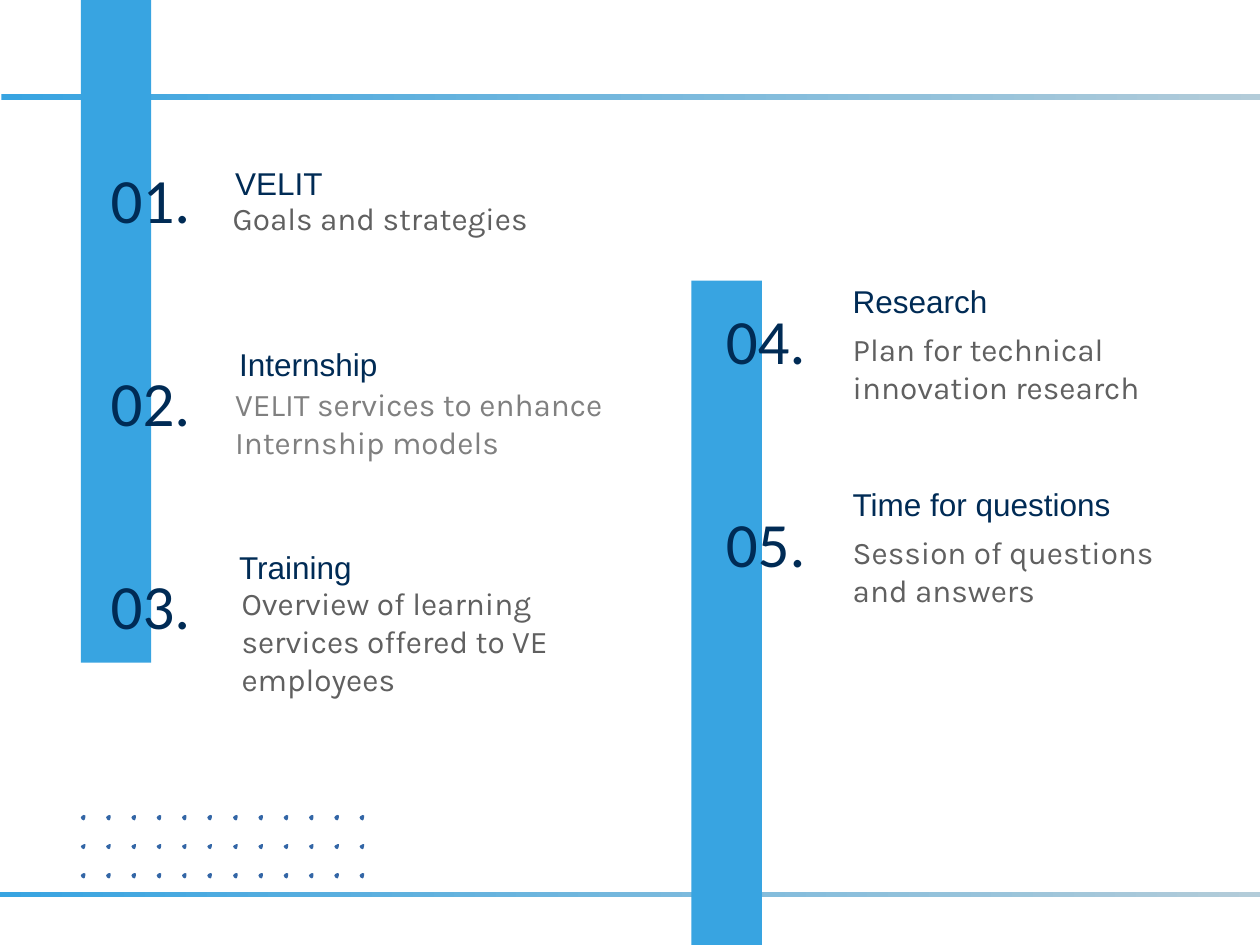
from pptx import Presentation
from pptx.dml.color import RGBColor
from pptx.enum.shapes import MSO_SHAPE
from pptx.enum.text import MSO_ANCHOR, PP_ALIGN
from pptx.util import Cm, Pt

RECT = MSO_SHAPE.RECTANGLE
MIDDLE, BOTTOM = MSO_ANCHOR.MIDDLE, MSO_ANCHOR.BOTTOM
LEFT, RIGHT = PP_ALIGN.LEFT, PP_ALIGN.RIGHT
BLUE, PALE, NAVY, DOT = "38A4E1", "B3CCD9", "002B55", "3366A6"
DARK, GREY = "606060", "808080"
PITCH = 4.09
DROP = [(9, 5), (9, 1), (6, 0), (2, 2), (0, 5), (2, 9), (6, 11), (8, 9)]

FIRST = [
    ("01.", "VELIT", (4.06, -0.2),
     "Goals and strategies", (4.01, 0.86, 6.86, 1.07), DARK),
    ("02.", "Internship", (4.14, -0.64),
     "VELIT services to enhance Internship models",
     (4.06, 0.84, 8.2, 1.19), GREY),
    ("03.", "Training", (4.14, -0.64),
     "Overview of learning services offered to VE employees",
     (4.19, 0.74, 7.54, 2.01), DARK),
]
SECOND = [
    ("04.", "Research", (4.11, -0.66),
     "Plan for technical innovation research",
     (4.11, 0.58, 6.86, 2.01), DARK),
    ("05.", "Time for questions", (4.11, -0.66),
     "Session of questions and answers",
     (4.11, 0.58, 6.86, 2.01), DARK),
]


def paint(code):
    """Turn a hex string into a colour."""
    return RGBColor.from_string(code)


def block(slide, box):
    """Add a plain rectangle without line or shadow."""
    shape = slide.shapes.add_shape(RECT, *map(Cm, box))
    shape.shadow.inherit = False
    shape.line.fill.background()
    return shape


def rule(slide, box):
    """Add a thin band that fades from left to right."""
    fill = block(slide, box).fill
    fill.gradient()
    fill.gradient_angle = 0
    for stop, code in zip(fill.gradient_stops, (BLUE, PALE)):
        stop.color.rgb = paint(code)


def label(slide, box, text, face, size, code, anchor=MIDDLE, align=LEFT):
    """Add a text box holding one run."""
    frame = slide.shapes.add_textbox(*map(Cm, box)).text_frame
    frame.word_wrap = True
    frame.vertical_anchor = anchor
    frame.margin_left = frame.margin_right = Cm(0.25)
    frame.margin_top = frame.margin_bottom = Cm(0.25)
    para = frame.paragraphs[0]
    para.alignment = align
    run = para.add_run()
    run.text = text
    run.font.name = face
    run.font.size = Pt(size)
    run.font.color.rgb = paint(code)


def column(slide, box, shift, items):
    """Add a blue bar and its numbered topics at an even pitch."""
    fill = block(slide, box).fill
    fill.solid()
    fill.fore_color.rgb = paint(BLUE)
    left, top = box[0] + shift[0], box[1] + shift[1]
    for row, (mark, head, spot, body, area, code) in enumerate(items):
        y = top + row * PITCH
        label(slide, (left, y, 3.66, 2.01), mark, "Calibri", 36, NAVY,
              align=RIGHT)
        label(slide, (left + spot[0], y + spot[1], 7.8, 1.52), head,
              "Arial", 18, NAVY, BOTTOM)
        label(slide, (left + area[0], y + area[1], *area[2:]), body,
              "Karla", 18, code)


def dots(slide, box, cols, rows):
    """Fill a box with a grouped grid of small drops."""
    left, top, width, height = box
    group = slide.shapes.add_group_shape()
    for spot in range(cols * rows):
        row, col = divmod(spot, cols)
        x = 100 * (left + col * width / (cols - 1))
        y = 100 * (top + row * height / (rows - 1))
        ring = [(x + dx, y + dy) for dx, dy in DROP]
        pen = group.shapes.build_freeform(*ring[0], scale=Cm(0.01))
        pen.add_line_segments(ring[1:], close=True)
        drop = pen.convert_to_shape()
        drop.shadow.inherit = False
        drop.fill.solid()
        drop.fill.fore_color.rgb = paint(DOT)
        drop.line.fill.background()


def main():
    """Build the agenda slide and save it."""
    deck = Presentation()
    deck.slide_width, deck.slide_height = Cm(25.4), Cm(19.05)
    slide = deck.slides.add_slide(deck.slide_layouts[6])
    rule(slide, (0.03, 1.9, 25.4, 0.12))
    rule(slide, (0, 17.99, 25.4, 0.1))
    column(slide, (1.63, 0, 1.42, 13.36), (-1.2, 3), FIRST)
    column(slide, (13.94, 5.66, 1.42, 13.74), (-1.11, 0.18), SECOND)
    dots(slide, (1.63, 16.43, 5.62, 1.17), 12, 3)
    deck.save("out.pptx")


if __name__ == "__main__":
    main()
